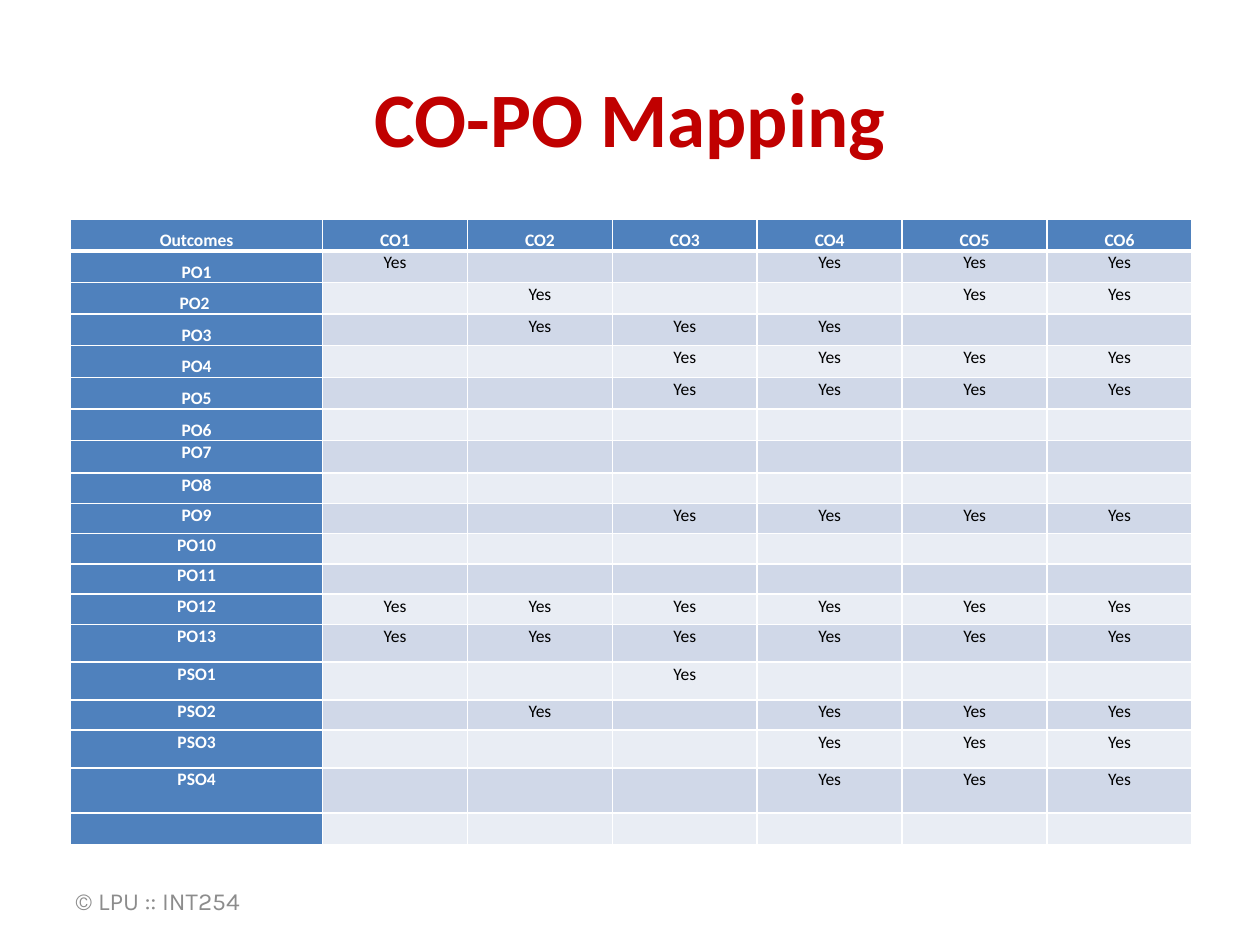
from lxml import etree
from pptx import Presentation
from pptx.dml.color import RGBColor
from pptx.enum.text import MSO_ANCHOR, PP_ALIGN
from pptx.oxml.ns import qn
from pptx.util import Inches, Pt

CENTER = PP_ALIGN.CENTER
MIDDLE = MSO_ANCHOR.MIDDLE

RED = RGBColor(0xC0, 0x00, 0x00)
GRAY = RGBColor(0x8C, 0x8C, 0x8C)
BLUE = RGBColor(0x4F, 0x81, 0xBD)
DARK_BAND = RGBColor(0xD0, 0xD8, 0xE8)
LIGHT_BAND = RGBColor(0xE9, 0xED, 0xF4)
WHITE = RGBColor(0xFF, 0xFF, 0xFF)
BLACK = RGBColor(0x00, 0x00, 0x00)

COURSES = range(1, 7)
# Outcome, courses that meet it, row height in inches
OUTCOMES = [
    ("PO1", (1, 4, 5, 6), 0.25),
    ("PO2 ", (2, 5, 6), 0.25),
    ("PO3", (2, 3, 4), 0.25),
    ("PO4", (3, 4, 5, 6), 0.25),
    ("PO5", (3, 4, 5, 6), 0.25),
    ("PO6", (), 0.25),
    ("PO7", (), 0.26),
    ("PO8", (), 0.24),
    ("PO9", (3, 4, 5, 6), 0.24),
    ("PO10", (), 0.24),
    ("PO11", (), 0.24),
    ("PO12", COURSES, 0.24),
    ("PO13", COURSES, 0.3),
    ("PSO1", (3,), 0.3),
    ("PSO2", (2, 4, 5, 6), 0.24),
    ("PSO3", (4, 5, 6), 0.3),
    ("PSO4", (4, 5, 6), 0.36),
    ("", (), 0.25),
]
LAST_SPACED_ROW = 6


def format_span(span, name, size, color, bold=False):
    span.font.name = name
    span.font.size = Pt(size)
    span.font.color.rgb = color
    span.font.bold = bold


def add_borders(cell, bottom_width):
    properties = cell._tc.get_or_add_tcPr()
    for side, width in (("L", 1), ("R", 1), ("T", 1), ("B", bottom_width)):
        line = etree.SubElement(properties, qn(f"a:ln{side}"), w=str(Pt(width)))
        fill = etree.SubElement(line, qn("a:solidFill"))
        etree.SubElement(fill, qn("a:srgbClr"), val=str(WHITE))


deck = Presentation()
deck.slide_width = Inches(10)
deck.slide_height = Inches(7.5)
page = deck.slides.add_slide(deck.slide_layouts[5])

title = page.shapes.title
title.left, title.top = Inches(0.5), Inches(0.3)
title.width, title.height = Inches(9), Inches(1.25)
title.text_frame.text = "CO-PO Mapping"
title.text_frame.vertical_anchor = MIDDLE
title.text_frame.paragraphs[0].alignment = CENTER
format_span(title.text_frame.paragraphs[0].runs[0], "Calibri", 44, RED, True)

footer = page.shapes.add_textbox(Inches(0.5), Inches(6.95), Inches(5.6), Inches(0.4))
footer.text_frame.word_wrap = True
footer.text_frame.vertical_anchor = MIDDLE
footer.text_frame.text = "© LPU :: INT254"
format_span(footer.text_frame.paragraphs[0].runs[0], "Karla", 14, GRAY)

rows = [["Outcomes"] + [f"CO{course}" for course in COURSES]]
heights = [0.25]
for outcome, met, height in OUTCOMES:
    rows.append([outcome] + ["Yes" if course in met else "" for course in COURSES])
    heights.append(height)

table = page.shapes.add_table(
    len(rows), len(rows[0]), Inches(0.56), Inches(1.74), Inches(8.89), Inches(sum(heights))
).table
for index, column in enumerate(table.columns):
    column.width = Inches(1.15 if index else 2)

for row_index, texts in enumerate(rows):
    table.rows[row_index].height = Inches(heights[row_index])
    for column_index, text in enumerate(texts):
        cell = table.cell(row_index, column_index)
        is_heading = row_index == 0 or column_index == 0
        cell.margin_left = cell.margin_right = Inches(0.07)
        cell.margin_top = cell.margin_bottom = 0
        add_borders(cell, 1 if row_index else 3)
        cell.fill.solid()
        band = DARK_BAND if row_index % 2 else LIGHT_BAND
        cell.fill.fore_color.rgb = BLUE if is_heading else band

        paragraph = cell.text_frame.paragraphs[0]
        paragraph.alignment = CENTER
        spaced = is_heading and row_index <= LAST_SPACED_ROW
        paragraph.line_spacing = 1.5 if spaced else 1.07
        if text:
            paragraph.text = text
            color = WHITE if is_heading else BLACK
            format_span(paragraph.runs[0], "Calibri", 10, color, is_heading)
        else:
            # An empty cell needs the small size too, or its row grows
            etree.SubElement(paragraph._p, qn("a:endParaRPr"), sz="1000")

deck.save("out.pptx")
